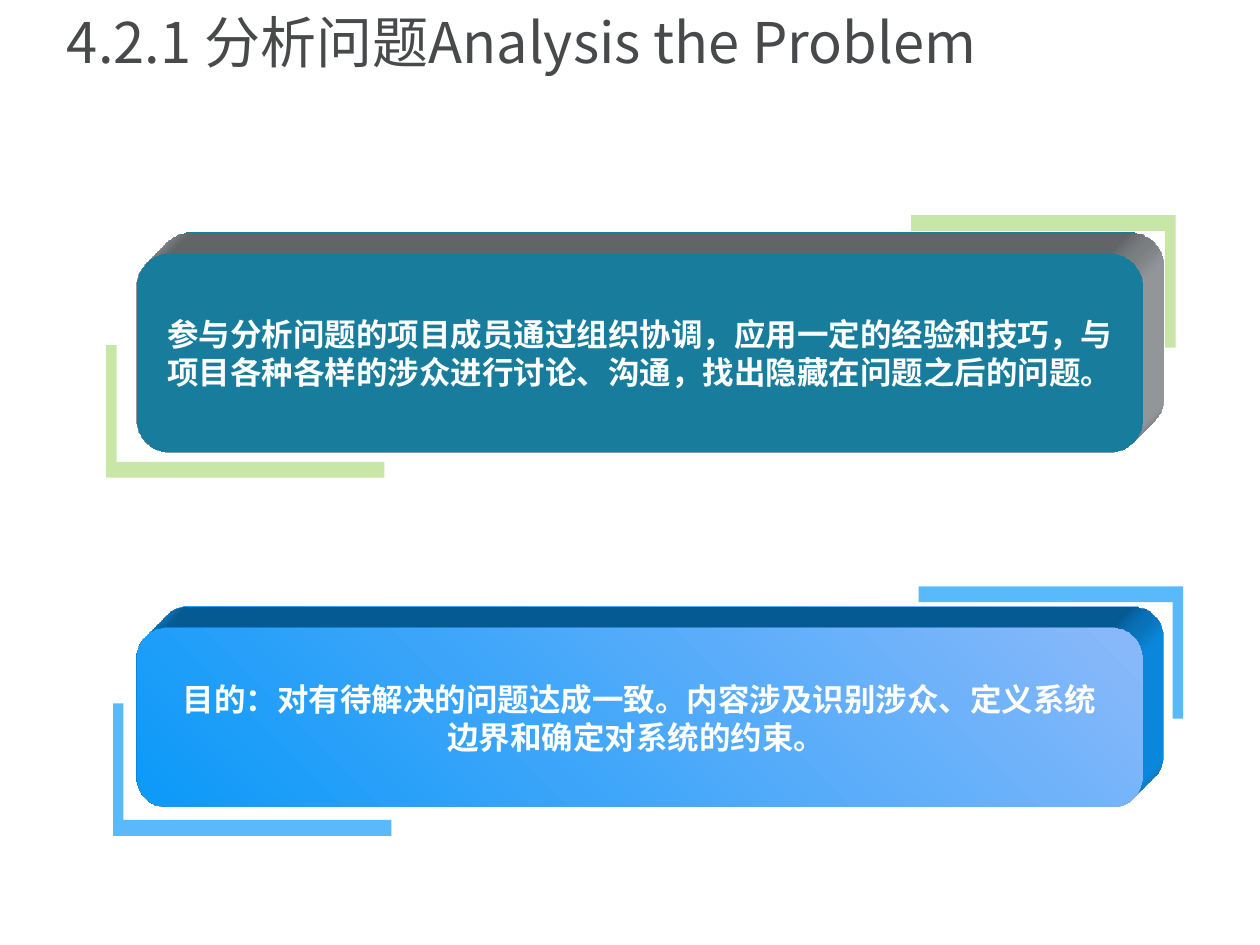
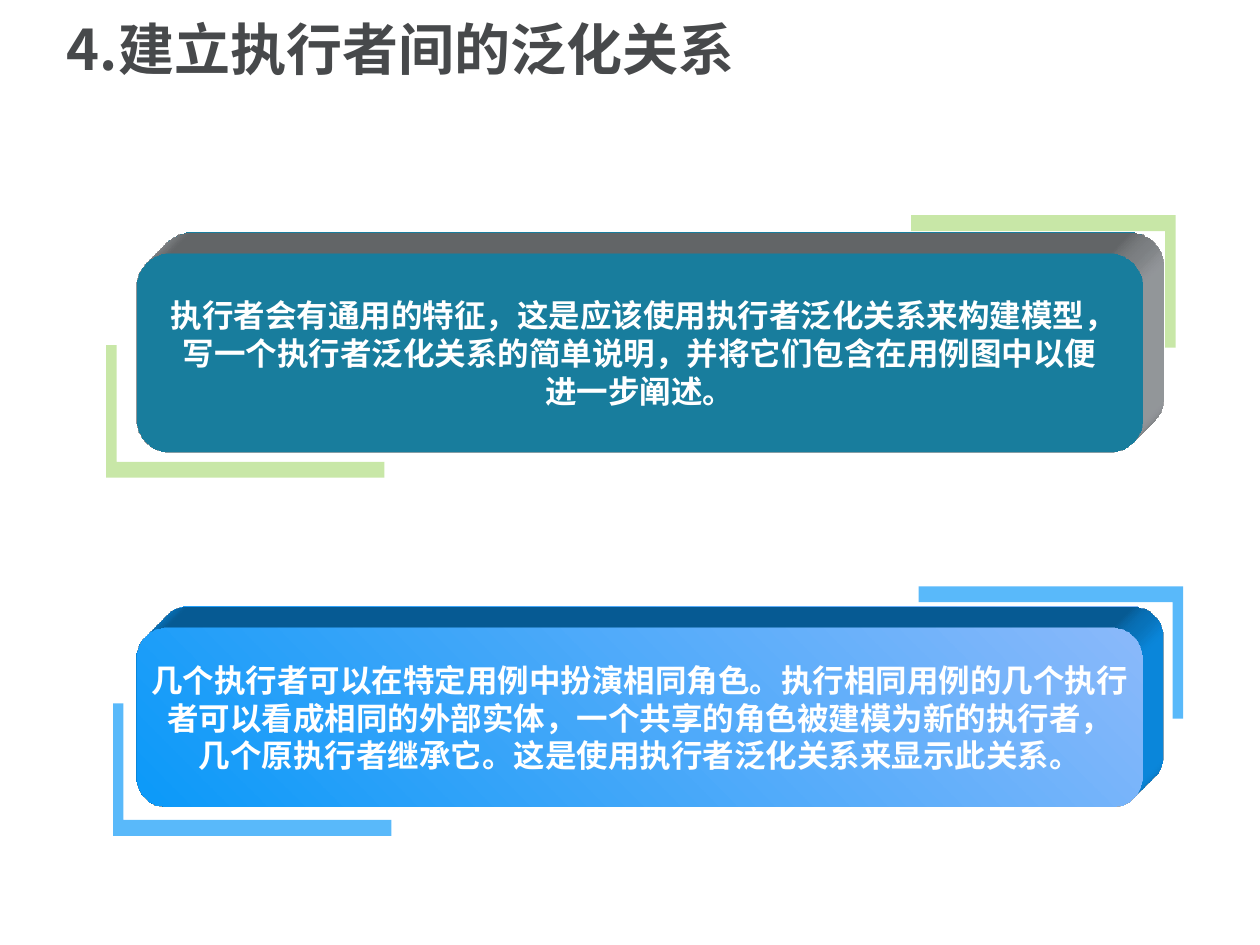
from dataclasses import dataclass

from lxml.etree import SubElement
from pptx import Presentation
from pptx.dml.color import RGBColor
from pptx.enum.shapes import MSO_SHAPE as Shape
from pptx.enum.text import MSO_ANCHOR as Anchor, PP_ALIGN as Align
from pptx.oxml.ns import qn
from pptx.util import Cm, Pt


@dataclass(frozen=True)
class Panel:
    """Colours, font and place of one framed panel, in centimetres."""
    frame: tuple
    block: tuple
    bracket: str
    bracket_alpha: int
    face: tuple
    walls: str
    font: str


class Theme:
    font = "Noto Sans CJK SC"
    title_size, body_size = 32, 18
    title_color, body_color = "47494B", "FFFFFF"
    corner, depth = 0.167, 1.2
    bracket_long, bracket_high = (5.33, 5.61), 2.67
    bar_wide, bar_high = 0.21, 0.32
    panels = (
        Panel((2.14, 4.34, 21.56, 5.29), (2.75, 5.11, 20.29, 4.01),
              "92D050", 50, ("22B1DE",), "A7ABAF", font),
        Panel((2.28, 11.82, 21.57, 5.03), (2.75, 12.66, 20.29, 3.61),
              "0B99F9", 68, ("0B99F9", "8AB9FA"), "0B99F9", "DejaVu Sans"),
    )


def paint(shape, *colors, alpha=100):
    """Fill with one colour, or with a diagonal gradient of two."""
    shape.shadow.inherit = False
    shape.line.fill.background()
    fill = shape.fill
    if len(colors) == 1:
        fill.solid()
        fill.fore_color.rgb = RGBColor.from_string(colors[0])
    else:
        fill.gradient()
        fill.gradient_angle = 45
        for stop, color in zip(fill.gradient_stops, colors):
            stop.color.rgb = RGBColor.from_string(color)
    if alpha < 100:
        for color in shape._element.spPr.iter(qn("a:srgbClr")):
            SubElement(color, qn("a:alpha"), val=str(alpha * 1000))


def extrude(shape, color):
    """Give the shape depth towards the upper right."""
    properties = shape._element.spPr
    scene = SubElement(properties, qn("a:scene3d"))
    SubElement(scene, qn("a:camera"), prst="legacyObliqueTopRight")
    SubElement(scene, qn("a:lightRig"), rig="legacyFlat3", dir="b")
    solid = SubElement(properties, qn("a:sp3d"), prstMaterial="legacyMatte",
                       extrusionH=str(Cm(Theme.depth)))
    extrusion = SubElement(solid, qn("a:extrusionClr"))
    SubElement(extrusion, qn("a:srgbClr"), val=color)


def write(shape, lines, size, color, font=Theme.font, bold=False,
          align=Align.LEFT, wrap=True, line_spacing=None):
    frame = shape.text_frame
    frame.word_wrap = wrap
    frame.vertical_anchor = Anchor.MIDDLE
    for number, line in enumerate(lines):
        paragraph = frame.add_paragraph() if number else frame.paragraphs[0]
        paragraph.alignment = align
        paragraph.line_spacing = line_spacing
        run = paragraph.add_run()
        run.text = line
        run.font.size = Pt(size)
        run.font.bold = bold
        run.font.name = font
        run.font.color.rgb = RGBColor.from_string(color)
        SubElement(run._r.get_or_add_rPr(), qn("a:ea"), typeface=Theme.font)


def add_bracket(slide, corner, length, direction, panel):
    """An L from a frame corner; direction 1 runs right and up, -1 left and down."""
    x, y = corner
    wide, high = Theme.bar_wide, Theme.bar_high
    steps = [(0, 0), (length, 0), (length, high), (wide, high),
             (wide, Theme.bracket_high), (0, Theme.bracket_high)]
    start, *others = [(Cm(x + direction * across), Cm(y - direction * up))
                      for across, up in steps]
    builder = slide.shapes.build_freeform(*start)
    builder.add_line_segments(others, close=True)
    paint(builder.convert_to_shape(), panel.bracket, alpha=panel.bracket_alpha)


def add_block(slide, panel, lines):
    block = slide.shapes.add_shape(Shape.ROUNDED_RECTANGLE, *map(Cm, panel.block))
    block.adjustments[0] = Theme.corner
    paint(block, *panel.face)
    extrude(block, panel.walls)
    write(block, lines, Theme.body_size, Theme.body_color, panel.font,
          bold=True, align=Align.CENTER, wrap=False)


def add_panel(slide, panel, lines):
    left, top, width, height = panel.frame
    upper, lower = Theme.bracket_long
    add_bracket(slide, (left, top + height), lower, 1, panel)
    add_bracket(slide, (left + width, top), upper, -1, panel)
    add_block(slide, panel, lines)


def add_panel_slide(presentation, title, title_top, title_bold, texts):
    slide = presentation.slides.add_slide(presentation.slide_layouts[6])
    box = slide.shapes.add_textbox(Cm(1.1), Cm(title_top), Cm(22.99), Cm(1.78))
    write(box, [title], Theme.title_size, Theme.title_color,
          bold=title_bold, line_spacing=0.9)
    for panel, lines in zip(Theme.panels, texts):
        add_panel(slide, panel, lines)


def main():
    presentation = Presentation()
    presentation.slide_width, presentation.slide_height = Cm(25.4), Cm(19.05)

    # Problem analysis
    add_panel_slide(presentation, "4.2.1 分析问题Analysis the Problem", 0.03, False, (
        ["参与分析问题的项目成员通过组织协调，应用一定的经验和技巧，与",
         "项目各种各样的涉众进行讨论、沟通，找出隐藏在问题之后的问题。"],
        ["目的：对有待解决的问题达成一致。内容涉及识别涉众、定义系统",
         "边界和确定对系统的约束。 "],
    ))

    # Generalization between actors
    add_panel_slide(presentation, "4.建立执行者间的泛化关系", 0.16, True, (
        [" 执行者会有通用的特征，这是应该使用执行者泛化关系来构建模型，",
         "写一个执行者泛化关系的简单说明，并将它们包含在用例图中以便",
         "进一步阐述。"],
        ["几个执行者可以在特定用例中扮演相同角色。执行相同用例的几个执行",
         "者可以看成相同的外部实体，一个共享的角色被建模为新的执行者，",
         "几个原执行者继承它。这是使用执行者泛化关系来显示此关系。"],
    ))
    presentation.save("out.pptx")


if __name__ == "__main__":
    main()
